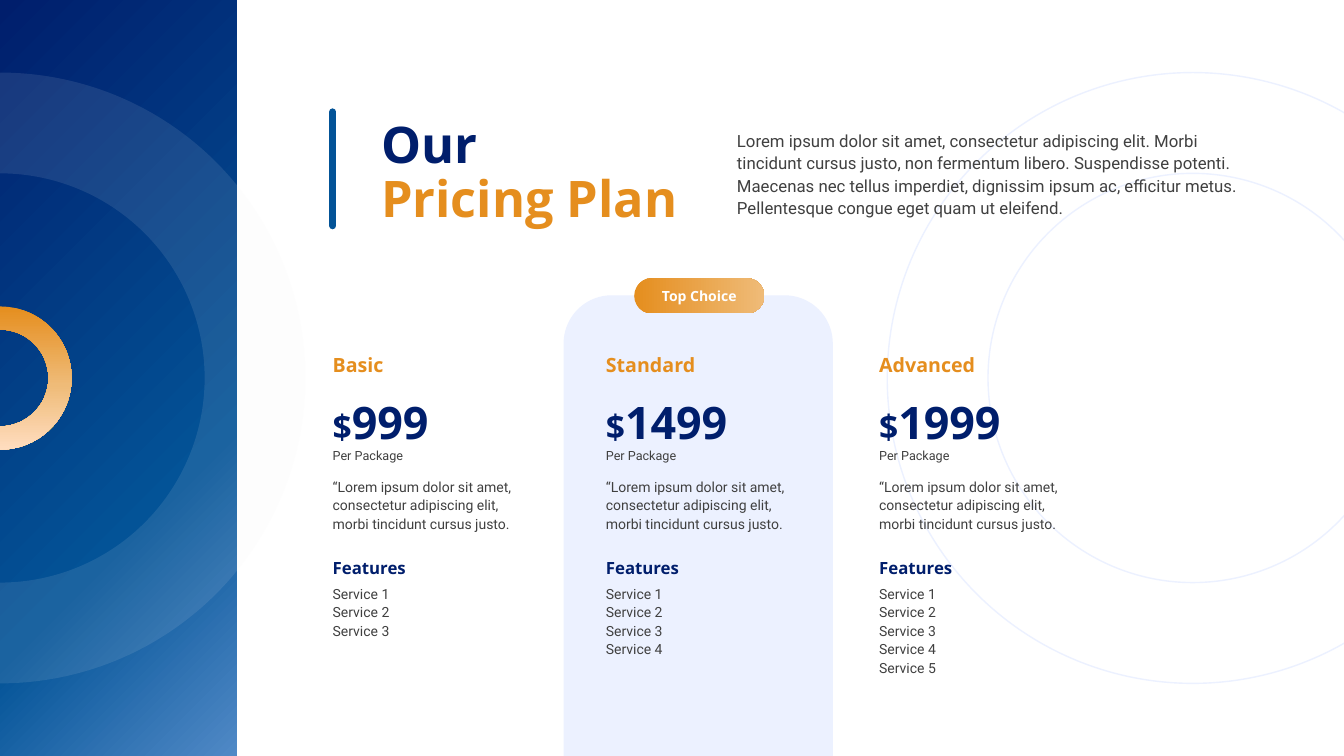
import lxml.etree
import pptx
import pptx.dml.color
import pptx.enum.shapes
import pptx.enum.text
import pptx.oxml.ns
import pptx.util

Inches = pptx.util.Inches
Pt = pptx.util.Pt
qn = pptx.oxml.ns.qn
Shape = pptx.enum.shapes.MSO_SHAPE
Anchor = pptx.enum.text.MSO_ANCHOR
Align = pptx.enum.text.PP_ALIGN

NAVY, BLUE, SKY = "001E6C", "035397", "5089C6"
ORANGE, APRICOT, PEACH = "E58E1E", "EFBB78", "FFDDBF"
PALE, GREY, WHITE, MIST = "ECF1FF", "404040", "FFFFFF", "F2F2F2"
HEADING, BODY = "Open Sans", "Roboto"
DEGREE = 60000


def colour(value):
    return pptx.dml.color.RGBColor.from_string(value)


class PricingPage:
    def __init__(self, deck):
        self.page = deck.slides.add_slide(deck.slide_layouts[5])
        self.shapes = self.page.shapes

    def fill(self, shape, paint, angle=0, alpha=None):
        if isinstance(paint, str):
            shape.fill.solid()
            shape.fill.fore_color.rgb = colour(paint)
            if alpha is not None:
                tone = shape.element.spPr.find(".//" + qn("a:srgbClr"))
                lxml.etree.SubElement(tone, qn("a:alpha"), val=str(alpha * 1000))
            return
        shape.fill.gradient()
        shape.fill.gradient_angle = 360 - angle
        stops = shape.element.spPr.find(".//" + qn("a:gsLst"))
        for stop in list(stops):
            stops.remove(stop)
        for position, tone in paint:
            stop = lxml.etree.SubElement(stops, qn("a:gs"), pos=str(position * 1000))
            lxml.etree.SubElement(stop, qn("a:srgbClr"), val=tone)

    def preset(self, kind, area, paint=None, angle=0, adjustments=()):
        shape = self.shapes.add_shape(kind, *map(Inches, area))
        shape.shadow.inherit = False
        shape.line.fill.background()
        for index, value in enumerate(adjustments):
            shape.adjustments[index] = value
        if paint:
            self.fill(shape, paint, angle)
        else:
            shape.fill.background()
        return shape

    def half_ring(self, outer, inner, paint, angle=0, alpha=None):
        middle, outer, inner = Inches(3.75), Inches(outer), Inches(inner)
        builder = self.shapes.build_freeform(0, middle - outer)
        builder.add_line_segments([
            (outer, middle), (0, middle + outer),
            (0, middle + inner), (inner, middle), (0, middle - inner)])
        ring = builder.convert_to_shape()
        outline = ring.element.spPr.find(".//" + qn("a:path"))
        lines = outline.findall(qn("a:lnTo"))
        for first, radius, start, sweep in ((0, outer, 270, 180), (3, inner, 90, -180)):
            arc = lxml.etree.Element(
                qn("a:arcTo"), wR=str(int(radius)), hR=str(int(radius)),
                stAng=str(start * DEGREE), swAng=str(sweep * DEGREE))
            outline.replace(lines[first], arc)
            outline.remove(lines[first + 1])
        ring.shadow.inherit = False
        ring.line.fill.background()
        self.fill(ring, paint, angle, alpha)

    def bar(self, x, top, bottom, tone, width):
        bar = self.shapes.add_connector(
            pptx.enum.shapes.MSO_CONNECTOR.STRAIGHT, *map(Inches, (x, top, x, bottom)))
        bar.line.color.rgb = colour(tone)
        bar.line.width = Pt(width)
        properties = bar.element.spPr
        properties.find(qn("a:ln")).set("cap", "rnd")
        lxml.etree.SubElement(properties, qn("a:effectLst"))

    def style(self, span, family, size, tone, bold):
        span.font.name = family
        span.font.size = Pt(size)
        span.font.color.rgb = colour(tone)
        span.font.bold = bold

    def frame(self, box, anchor, wrap=True):
        frame = box.text_frame
        frame.auto_size = pptx.enum.text.MSO_AUTO_SIZE.NONE
        frame.word_wrap = wrap
        frame.vertical_anchor = anchor
        frame.margin_left = frame.margin_right = 0
        frame.margin_top = frame.margin_bottom = 0
        return frame

    def text(self, area, words, size, tone=GREY, heading=False):
        box = self.shapes.add_textbox(*map(Inches, area))
        frame = self.frame(box, Anchor.BOTTOM if heading else Anchor.TOP)
        frame.text = words
        for para in frame.paragraphs:
            if not heading:
                para.line_spacing = 1.1
            for span in para.runs:
                self.style(span, HEADING if heading else BODY, size, tone, heading)
        return frame

    def title(self, area, lines, tones, size):
        box = self.shapes.title
        box.left, box.top, box.width, box.height = map(Inches, area)
        frame = self.frame(box, Anchor.MIDDLE, wrap=False)
        frame.text = "\v".join(lines)
        para = frame.paragraphs[0]
        para.alignment = Align.LEFT
        para.line_spacing = 0.9
        for span, tone in zip(para.runs, tones):
            self.style(span, HEADING, size, tone, True)
        line_break = box.element.find(".//" + qn("a:br"))
        lxml.etree.SubElement(line_break, qn("a:rPr"), sz=str(size * 100))

    def badge(self, area, words):
        badge = self.preset(Shape.ROUNDED_RECTANGLE, area,
                            [(0, ORANGE), (100, APRICOT)], 0, [0.5])
        frame = self.frame(badge, Anchor.MIDDLE)
        frame.text = words
        frame.paragraphs[0].alignment = Align.CENTER
        self.style(frame.paragraphs[0].runs[0], HEADING, 10, WHITE, True)

    def plan(self, left, name, amount, services):
        width = 1.84
        self.text((left, 4.73, width, 0.57),
                  "“Lorem ipsum dolor sit amet, consectetur adipiscing elit, "
                  "morbi tincidunt cursus justo.", 10)
        self.text((left, 3.46, width, 0.27), name, 14, ORANGE, True)
        price = self.text((left, 3.94, width, 0.51), "$", 24, NAVY, True)
        number = price.paragraphs[0].add_run()
        number.text = amount
        self.style(number, HEADING, 32, NAVY, True)
        self.text((left, 4.43, width, 0.18), "Per Package", 9)
        self.text((left, 5.52, width, 0.21), "Features", 12, NAVY, True)
        listing = "\n".join(f"Service {index + 1}" for index in range(services))
        self.text((left, 5.79, width, 0.98), listing, 10)


def main():
    deck = pptx.Presentation()
    deck.slide_width, deck.slide_height = Inches(13.33), Inches(7.5)
    page = PricingPage(deck)

    rings = page.preset(Shape.DONUT, (8.8, 0.72, 6.06, 6.06), adjustments=[0.165])
    rings.line.color.rgb = colour(PALE)
    rings.line.width = Pt(1)
    page.preset(Shape.ROUND_2_SAME_RECTANGLE, (5.59, 2.93, 2.67, 4.57), PALE,
                adjustments=[0.179, 0])
    page.preset(Shape.RECTANGLE, (0, 0, 2.35, 7.5),
                [(0, NAVY), (67, BLUE), (100, SKY)], 45)
    page.half_ring(0.71, 0.48, [(0, ORANGE), (55, APRICOT), (100, PEACH)], 90)
    page.half_ring(3.03, 2.03, MIST, alpha=10)

    page.title((3.78, 1.18, 3.11, 1.1), ["Our", "Pricing Plan"], [NAVY, ORANGE], 36)
    page.bar(3.3, 1.11, 2.24, BLUE, 5)
    page.text((7.31, 1.28, 5, 0.89),
              "Lorem ipsum dolor sit amet, consectetur adipiscing elit. Morbi "
              "tincidunt cursus justo, non fermentum libero. Suspendisse potenti. "
              "Maecenas nec tellus imperdiet, dignissim ipsum ac, efficitur metus. "
              "Pellentesque congue eget quam ut eleifend.", 12)

    plans = [("Basic", "999", 3), ("Standard", "1499", 4), ("Advanced", "1999", 5)]
    for column, plan in enumerate(plans):
        page.plan(3.3 + 2.71 * column, *plan)
    page.badge((6.29, 2.76, 1.29, 0.35), "Top Choice")

    deck.save("out.pptx")


if __name__ == "__main__":
    main()
